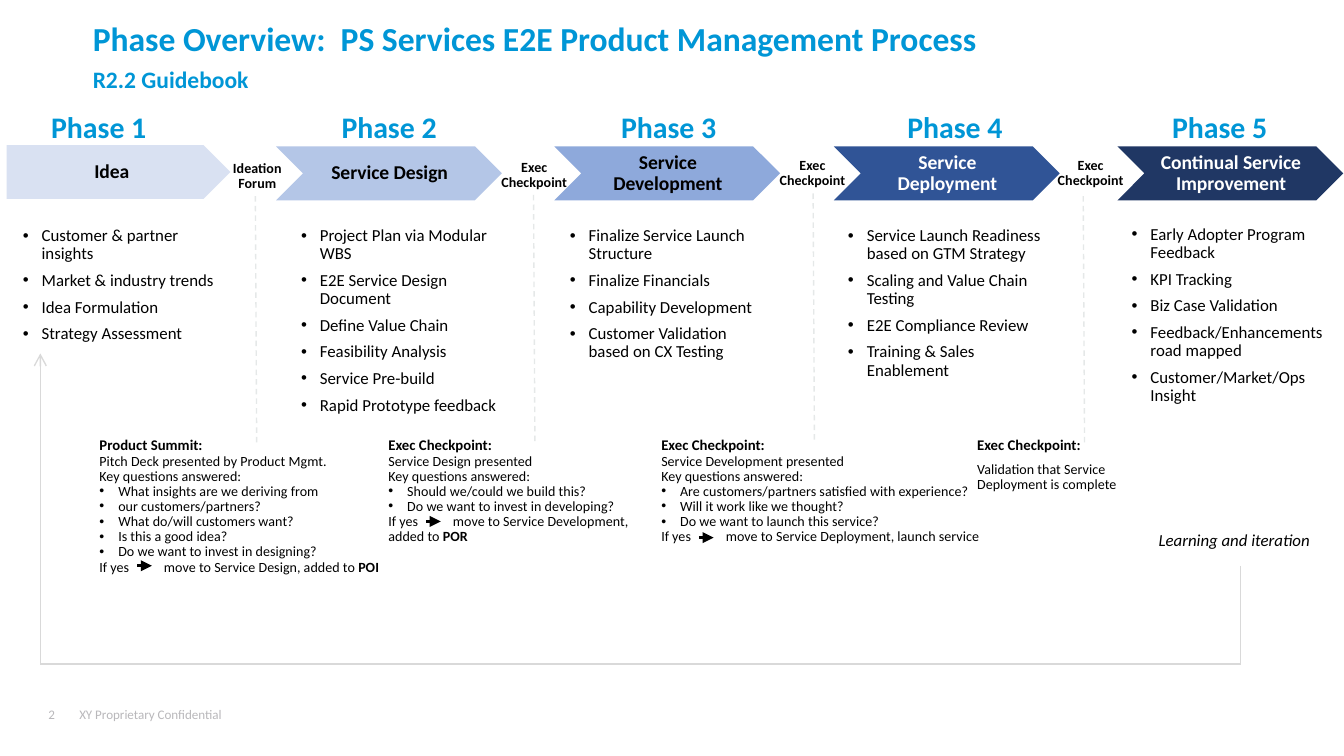
"""Build the phase overview slide of the product management process."""
from dataclasses import dataclass

from lxml import etree
from pptx import Presentation
from pptx.dml.color import RGBColor
from pptx.enum.dml import MSO_LINE
from pptx.enum.shapes import MSO_CONNECTOR, MSO_SHAPE
from pptx.enum.text import MSO_ANCHOR, MSO_AUTO_SIZE, PP_ALIGN
from pptx.oxml.ns import qn
from pptx.slide import Slide
from pptx.util import Emu, Pt

PX = 9144
FONT = "Calibri"
STRAIGHT, DASH = MSO_CONNECTOR.STRAIGHT, MSO_LINE.DASH
PENTAGON, CHEVRON = MSO_SHAPE.PENTAGON, MSO_SHAPE.CHEVRON
LEFT, CENTER = PP_ALIGN.LEFT, PP_ALIGN.CENTER
TOP, MIDDLE = MSO_ANCHOR.TOP, MSO_ANCHOR.MIDDLE
NO_FIT = MSO_AUTO_SIZE.NONE

BLACK = RGBColor(0x00, 0x00, 0x00)
WHITE = RGBColor(0xFF, 0xFF, 0xFF)
ACCENT = RGBColor(0x00, 0x96, 0xD6)
FOOTER_GRAY = RGBColor(0xB9, 0xB8, 0xBB)
DIVIDER_GRAY = RGBColor(0xE5, 0xE8, 0xE8)
LOOP_GRAY = RGBColor(0xD9, 0xD9, 0xD9)
ICE = RGBColor(0xD9, 0xE1, 0xF2)
SKY = RGBColor(0xB4, 0xC6, 0xE7)
STEEL = RGBColor(0x8E, 0xA9, 0xDB)
COBALT = RGBColor(0x30, 0x54, 0x96)
NAVY = RGBColor(0x20, 0x37, 0x64)


@dataclass(frozen=True)
class Style:
    size: float
    color: RGBColor = BLACK
    bold: bool = False
    italic: bool = False
    align: int = LEFT
    before: float = 0
    bulleted: bool = False


@dataclass(frozen=True)
class Phase:
    heading_left: int
    stage: str
    left: int
    top: int
    fill: RGBColor
    ink: RGBColor
    items_left: int
    items_top: int
    items: tuple[str, ...]


@dataclass(frozen=True)
class Gate:
    label: str
    left: int
    top: int
    width: int
    divider_left: int
    divider_top: int


@dataclass(frozen=True)
class Review:
    left: int
    width: int
    title: str
    intro: str
    questions: tuple[str, ...]
    outcome: tuple[str, ...]
    code: str
    arrow_top: int


HEADING = Style(16, ACCENT, bold=True, align=CENTER)
GATE_LABEL = Style(7.5, bold=True, align=CENTER)
ITEM = Style(9, before=4.5, bulleted=True)
REVIEW_TITLE = Style(7.9, bold=True)
REVIEW_TEXT = Style(7.5)
REVIEW_BULLET = Style(7.5, bulleted=True)
FOOTER = Style(7, FOOTER_GRAY)

PHASES = (
    Phase(31, "Idea", 6, 109, ICE, BLACK, 17, 169,
          ("Customer & partner insights", "Market & industry trends",
           "Idea Formulation", "Strategy Assessment")),
    Phase(247, "Service Design", 208, 110, SKY, BLACK, 224, 169,
          ("Project Plan via Modular WBS", "E2E Service Design Document",
           "Define Value Chain", "Feasibility Analysis", "Service Pre-build",
           "Rapid Prototype feedback")),
    Phase(455, "Service Development", 415, 110, STEEL, BLACK, 424, 169,
          ("Finalize Service Launch Structure", "Finalize Financials",
           "Capability Development", "Customer Validation based on CX Testing")),
    Phase(668, "Service Deployment", 623, 110, COBALT, WHITE, 631, 169,
          ("Service Launch Readiness based on GTM Strategy",
           "Scaling and Value Chain Testing", "E2E Compliance Review",
           "Training & Sales Enablement")),
    Phase(865, "Continual Service Improvement", 834, 110, NAVY, WHITE, 842, 168,
          ("Early Adopter Program Feedback", "KPI Tracking", "Biz Case Validation",
           "Feedback/Enhancements road mapped", "Customer/Market/Ops Insight")),
)
GATES = (
    Gate("Ideation Forum", 163, 120, 57, 190, 146),
    Gate("Exec Checkpoint", 367, 119, 61, 397, 145),
    Gate("Exec Checkpoint", 574, 118, 61, 605, 144),
    Gate("Exec Checkpoint", 781, 118, 61, 806, 146),
)
REVIEWS = (
    Review(74, 213, "Product Summit:", "Pitch Deck presented by Product Mgmt.",
           ("What insights are we deriving from", "our customers/partners?",
            "What do/will customers want?", "Is this a good idea?",
            "Do we want to invest in designing?"),
           ("If yes\tmove to Service Design, added to ",), "POI", 421),
    Review(289, 190, "Exec Checkpoint:", "Service Design presented",
           ("Should we/could we build this?", "Do we want to invest in developing?"),
           ("If yes\tmove to Service Development,", "added to "), "POR", 388),
    Review(492, 245, "Exec Checkpoint:", "Service Development presented",
           ("Are customers/partners satisfied with experience?",
            "Will it work like we thought?", "Do we want to launch this service?"),
           ("If yes\tmove to Service Deployment, launch service",), "", 400),
)


def style_runs(para, style: Style) -> None:
    """Apply the font of a style to every run."""
    for span in para.runs:
        span.font.name, span.font.size = FONT, Pt(style.size)
        span.font.bold, span.font.italic = style.bold, style.italic
        span.font.color.rgb = style.color


def fill_text(frame, lines: list[tuple[str, Style]]) -> None:
    """Write styled paragraphs, with bullets and tab stops where needed."""
    frame.text = "\n".join(text for text, _ in lines)
    for para, (text, style) in zip(frame.paragraphs, lines):
        para.alignment, para.line_spacing = style.align, 0.9
        para.space_before = Pt(style.before)
        style_runs(para, style)
        properties = para._p.get_or_add_pPr()
        if style.bulleted:
            properties.set("marL", str(14 * PX))
            properties.set("indent", str(-14 * PX))
            etree.SubElement(properties, qn("a:buFont"), typeface="Arial")
            etree.SubElement(properties, qn("a:buChar"), char="•")
        if "\t" in text:
            stops = etree.SubElement(properties, qn("a:tabLst"))
            etree.SubElement(stops, qn("a:tab"), pos=str(48 * PX), algn="l")


def add_text(slide: Slide, left: int, top: int, width: int, height: int,
             lines: list[tuple[str, Style]], wrap: bool = True, anchor: int = TOP):
    """Add a text box without margins and return its frame."""
    box = slide.shapes.add_textbox(left * PX, top * PX, width * PX, height * PX)
    frame = box.text_frame
    frame.margin_left = frame.margin_top = frame.margin_right = frame.margin_bottom = 0
    frame.word_wrap, frame.vertical_anchor = wrap, anchor
    fill_text(frame, lines)
    return frame


def add_line(slide: Slide, start: tuple[int, int], end: tuple[int, int],
             color: RGBColor, width: float = 0.75, dash=None, head: str = "") -> None:
    """Draw a straight connector, optionally dashed or with an arrowhead."""
    connector = slide.shapes.add_connector(
        STRAIGHT, *(value * PX for value in (*start, *end)))
    connector.line.color.rgb, connector.line.width = color, Pt(width)
    connector.line.dash_style = dash
    if head:
        etree.SubElement(connector.line._get_or_add_ln(), qn("a:tailEnd"), type=head)
    etree.SubElement(connector._element.spPr, qn("a:effectLst"))


def add_phase(slide: Slide, number: int, phase: Phase) -> None:
    """Draw a phase heading, its arrow block and its list of items."""
    kind = PENTAGON if number == 1 else CHEVRON
    block = slide.shapes.add_shape(
        kind, phase.left * PX, phase.top * PX, 164 * PX, 38 * PX)
    block.shadow.inherit = False
    block.fill.solid()
    block.fill.fore_color.rgb = block.line.color.rgb = phase.fill
    block.line.width = Pt(1.5)
    etree.SubElement(block.line._get_or_add_ln(), qn("a:miter"), lim="800000")
    frame = block.text_frame
    frame.margin_left = frame.margin_right = 5 * PX
    frame.word_wrap, frame.vertical_anchor = True, MIDDLE
    fill_text(frame, [(phase.stage, Style(10.5, phase.ink, bold=True, align=CENTER))])
    add_text(slide, phase.heading_left, 84, 85, 16, [(f"Phase {number}", HEADING)])
    add_text(slide, phase.items_left, phase.items_top, 147, 129,
             [(item, ITEM) for item in phase.items])


def add_gate(slide: Slide, gate: Gate) -> None:
    """Draw the label and dashed divider between two phases."""
    add_line(slide, (gate.divider_left, gate.divider_top),
             (gate.divider_left + 1, gate.divider_top + 184), DIVIDER_GRAY, dash=DASH)
    add_text(slide, gate.left, gate.top, gate.width, 26, [(gate.label, GATE_LABEL)])


def add_review(slide: Slide, review: Review) -> None:
    """Write the questions and outcome of a review, with its small arrow."""
    lines = [(review.title, REVIEW_TITLE), (review.intro, REVIEW_TEXT),
             ("Key questions answered:", REVIEW_TEXT)]
    lines += [(question, REVIEW_BULLET) for question in review.questions]
    lines += [(text, REVIEW_TEXT) for text in review.outcome]
    frame = add_text(slide, review.left, 326, review.width, 76, lines)
    if review.code:
        para = frame.paragraphs[-1]
        span = para.add_run()
        span.text = review.code
        style_runs(para, REVIEW_TEXT)
        span.font.bold = True
    add_line(slide, (review.left + 28, review.arrow_top),
             (review.left + 39, review.arrow_top), BLACK, 1.5, head="triangle")


def add_title(slide: Slide) -> None:
    """Place and format the title with its subtitle line."""
    title = slide.shapes.title
    title.left, title.top, title.width, title.height = (
        Emu(value * PX) for value in (59, 8, 872, 67))
    frame = title.text_frame
    frame.text = ("Phase Overview:  PS Services E2E Product Management Process\n"
                  "R2.2 Guidebook")
    frame.auto_size, frame.vertical_anchor, frame.word_wrap = NO_FIT, TOP, True
    for para, size in zip(frame.paragraphs, (18, 12.6)):
        para.alignment, para.space_after = LEFT, Pt(3.6)
        style_runs(para, Style(size, ACCENT, bold=True))


def main() -> None:
    """Assemble and save the deck."""
    deck = Presentation()
    deck.slide_width = Emu(1000 * PX)
    deck.slide_height = Emu(deck.slide_width * 9 // 16)
    page = deck.slides.add_slide(deck.slide_layouts[5])
    add_title(page)
    for gate in GATES:
        add_gate(page, gate)
    for number, phase in enumerate(PHASES, 1):
        add_phase(page, number, phase)
    for review in REVIEWS:
        add_review(page, review)
    add_text(page, 727, 326, 115, 31, [
        ("Exec Checkpoint:", REVIEW_TITLE),
        ("Validation that Service Deployment is complete", Style(7.5, before=4.5))])
    add_line(page, (923, 421), (923, 494), LOOP_GRAY)
    add_line(page, (30, 494), (923, 494), LOOP_GRAY)
    add_line(page, (30, 494), (30, 263), LOOP_GRAY, head="arrow")
    add_text(page, 862, 396, 121, 19,
             [("Learning and iteration", Style(9, italic=True))], wrap=False)
    add_text(page, 36, 524, 20, 16, [("2", FOOTER)], anchor=MIDDLE)
    add_text(page, 59, 524, 857, 16, [("XY Proprietary Confidential", FOOTER)],
             anchor=MIDDLE)
    deck.save("out.pptx")


if __name__ == "__main__":
    main()
